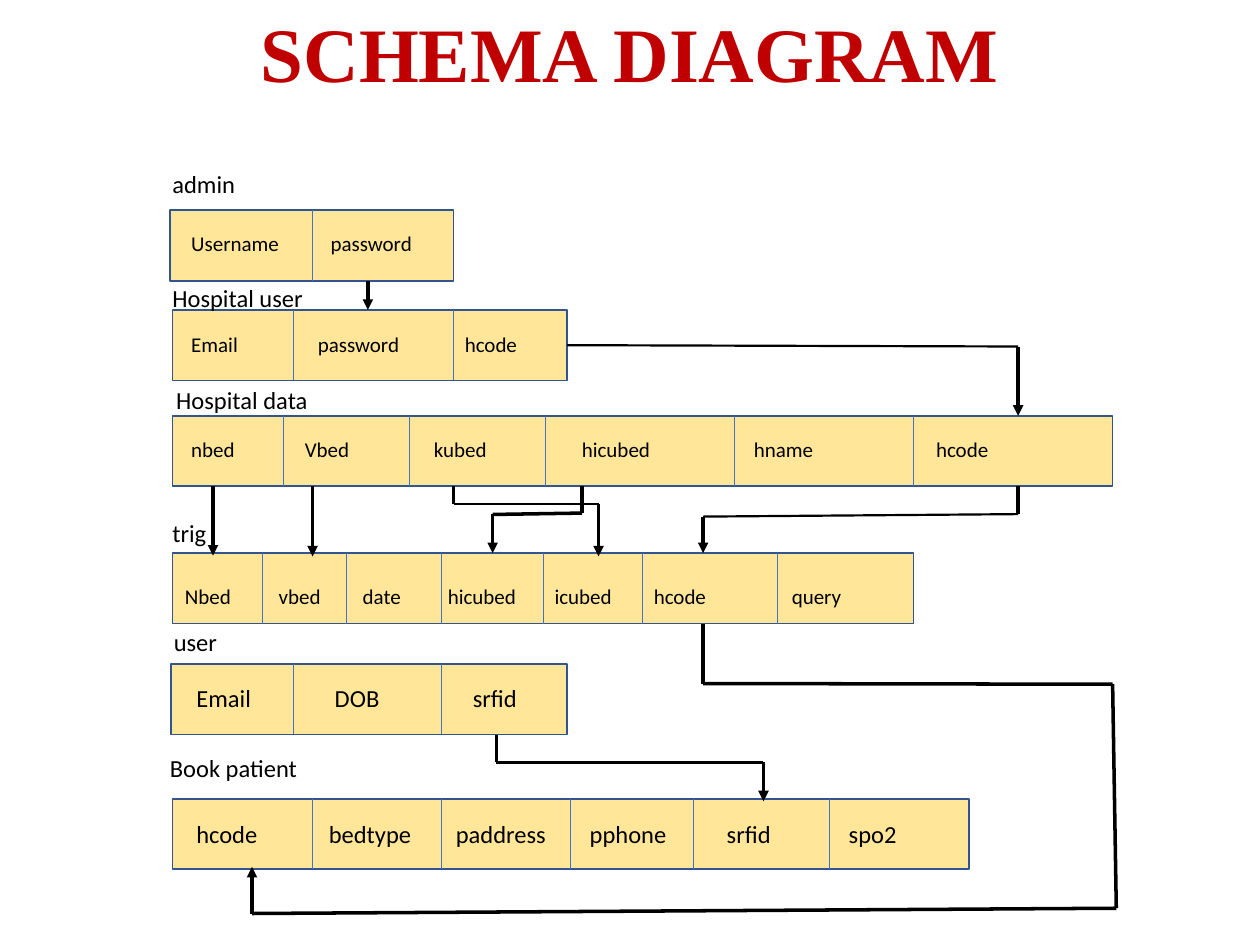
from itertools import pairwise

from lxml import etree
from pptx import Presentation
from pptx.dml.color import RGBColor
from pptx.enum import shapes, text
from pptx.oxml.ns import qn
from pptx.util import Pt

COLORS = {
    "title": "C00000",
    "fill": "FFE699",
    "border": "325491",
    "divider": "4472C4",
    "ink": "000000",
}
ROW_H = 40.3
RIGHT_SIDE = 3

# name, name position, box (left, top, width), dividers, size,
# text top, columns as (x, field)
TABLES = [
    ("admin", (91.4, 92.9), (97.2, 120.2, 162), [178.6], 12, 128.2,
     [(109.4, "Username"), (189, "password")]),
    ("Hospital user", (91.4, 158.4), (98.6, 177.1, 225.4), [167.8, 259.2], 12, 185.8,
     [(109.4, "Email"), (181.7, "password"), (265.7, "hcode")]),
    ("Hospital data", (93.6, 216.7), (98.6, 237.6, 537.1),
     [162, 234, 311.8, 419.8, 522], 12, 246.2,
     [(109.4, "nbed"), (174.3, "Vbed"), (248, "kubed"), (332.6, "hicubed"),
      (430.9, "hname"), (535, "hcode")]),
    ("trig", (91.4, 292.3), (98.6, 316.1, 423.4),
     [149.8, 198, 252, 310.3, 367.2, 444.2], 12, 330,
     [(105.8, "Nbed"), (159.4, "vbed"), (207.4, "date"), (256, "hicubed"),
      (317, "icubed"), (373.7, "hcode"), (452.6, "query")]),
    ("user", (92.2, 355), (97.9, 379.4, 226.1), [167.8, 252], 14, 386.6,
     [(112.3, "Email"), (191.4, "DOB"), (270.3, "srfid")]),
    ("Book patient", (90, 427), (98.6, 456.5, 455),
     [178.6, 252, 326.2, 396, 473.8], 14, 464.4,
     [(112.3, "hcode"), (188, "bedtype"), (260.6, "paddress"), (337.1, "pphone"),
      (415.4, "srfid"), (485.1, "spo2")]),
]

# Corner points of each reference, and the index of its thin segment
REFERENCES = [
    ([(324, 197.2), (581.8, 198), (581.8, 237.6)], 0),
    ([(581.8, 278), (581.8, 293.8), (401.8, 295.2), (401.8, 316.1)], 1),
    ([(259.2, 277.5), (259.2, 288), (342, 288), (342, 318)], 1),
    ([(332.6, 278), (332.6, 293.2), (281.5, 294), (281.5, 316.1)], None),
    ([(178.6, 278), (178.6, 318)], None),
    ([(121.7, 278), (121.7, 317.5)], None),
    ([(401.8, 356.4), (401.8, 390.6), (635.8, 391), (637.9, 519),
      (144, 522), (144, 495.4)], None),
    ([(283.7, 419.8), (283.7, 435.6), (436.3, 435.6), (436.3, 457.9)], None),
    ([(210.2, 160.6), (210.2, 177.1)], None),
]


class Diagram:
    font = "Calibri"
    title_font = "Times New Roman"
    inset = 7.2

    def __init__(self, slide):
        self.slide = slide

    def color(self, name):
        return RGBColor.from_string(COLORS[name])

    def run(self, p, words, size, font, color, bold=False):
        r = p.add_run()
        r.text = words
        r.font.size = Pt(size)
        r.font.name = font
        r.font.bold = bold
        r.font.color.rgb = self.color(color)

    def title(self, words, x, y, w, h):
        sp = self.slide.shapes.title
        sp.left, sp.top, sp.width, sp.height = Pt(x), Pt(y), Pt(w), Pt(h)
        tf = sp.text_frame
        tf.word_wrap = True
        tf.vertical_anchor = text.MSO_ANCHOR.TOP
        p = tf.paragraphs[0]
        p.alignment = text.PP_ALIGN.CENTER
        self.run(p, words, 44, self.title_font, "title", bold=True)

    def box(self, x, y, w):
        sp = self.slide.shapes.add_shape(
            shapes.MSO_SHAPE.RECTANGLE, Pt(x), Pt(y), Pt(w), Pt(ROW_H))
        sp.shadow.inherit = False
        sp.fill.solid()
        sp.fill.fore_color.rgb = self.color("fill")
        sp.line.color.rgb = self.color("border")
        sp.line.width = Pt(1)
        return sp

    def line(self, start, end, color="ink", width=2.0, arrow=False):
        cx = self.slide.shapes.add_connector(
            shapes.MSO_CONNECTOR.STRAIGHT, *(Pt(v) for v in (*start, *end)))
        cx.line.color.rgb = self.color(color)
        cx.line.width = Pt(width)
        if arrow:
            etree.SubElement(cx.line._get_or_add_ln(), qn("a:tailEnd"), type="triangle")
        etree.SubElement(cx._element.spPr, qn("a:effectLst"))
        return cx

    def reference(self, points, thin):
        segments = list(pairwise(points))
        last = len(segments) - 1
        return [self.line(a, b, width=1.25 if i == thin else 2, arrow=i == last)
                for i, (a, b) in enumerate(segments)]

    def label(self, words, x, y, w, size, stops=()):
        sp = self.slide.shapes.add_textbox(Pt(x), Pt(y), Pt(w), Pt(size * 1.2 + 7.2))
        tf = sp.text_frame
        tf.word_wrap = True
        p = tf.paragraphs[0]
        if stops:
            tabs = etree.SubElement(p._p.get_or_add_pPr(), qn("a:tabLst"))
            for stop in stops:
                etree.SubElement(tabs, qn("a:tab"), pos=str(Pt(stop)), algn="l")
        self.run(p, words, size, self.font, "ink")

    def fields(self, columns, right, y, size):
        first = columns[0][0]
        left = first - self.inset
        self.label("\t".join(field for _, field in columns), left, y, right - left,
                   size, [x - first for x, _ in columns[1:]])


def main():
    prs = Presentation()
    prs.slide_width, prs.slide_height = Pt(720), Pt(540)
    s = prs.slides.add_slide(prs.slide_layouts[5])
    d = Diagram(s)

    d.title("SCHEMA DIAGRAM", 123, -0.7, 474, 60.5)

    # Table boxes and column dividers
    boxes = {}
    for name, _, (x, y, w), dividers, *_ in TABLES:
        boxes[name] = d.box(x, y, w)
        for at in dividers:
            d.line((at, y), (at, y + ROW_H), "divider", 0.5)

    # References between the tables
    paths = [d.reference(points, thin) for points, thin in REFERENCES]
    paths[0][0].begin_connect(boxes["Hospital user"], RIGHT_SIDE)

    # Table names and field names
    for name, (nx, ny), (x, _, w), _, size, y, columns in TABLES:
        d.label(name, nx, ny, 120, 14)
        d.fields(columns, x + w, y, size)

    prs.save("out.pptx")


if __name__ == "__main__":
    main()
